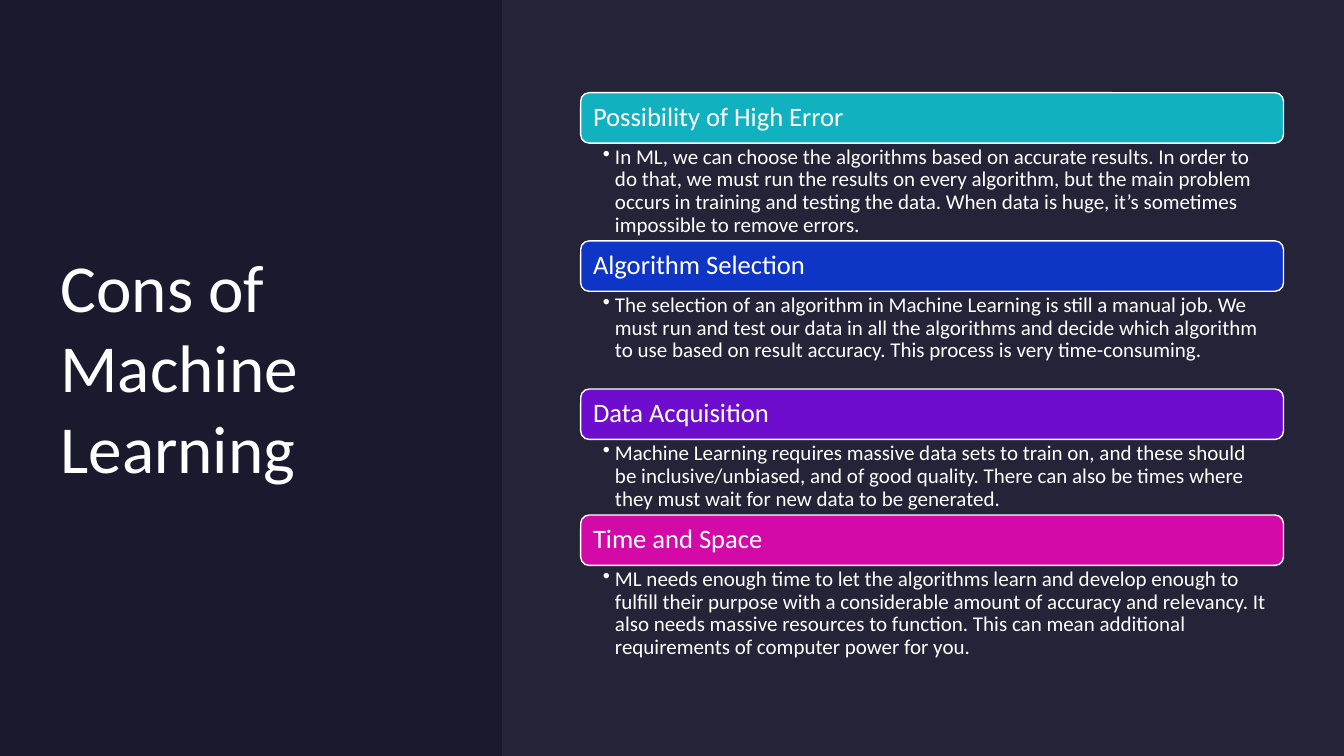
"""Build the slide on the cons of machine learning."""
import pptx
import pptx.dml.color
import pptx.enum.shapes
import pptx.enum.text
import pptx.oxml.ns
import pptx.util
from lxml import etree

Inches = pptx.util.Inches
Pt = pptx.util.Pt
RGBColor = pptx.dml.color.RGBColor
SHAPE = pptx.enum.shapes.MSO_SHAPE
ANCHOR = pptx.enum.text.MSO_ANCHOR
ALIGN = pptx.enum.text.PP_ALIGN
qn = pptx.oxml.ns.qn

NIGHT = RGBColor(0x1B, 0x19, 0x2E)
MIST = RGBColor(0xE4, 0xE3, 0xF0)
WHITE = RGBColor(0xFF, 0xFF, 0xFF)
TEAL = RGBColor(0x12, 0xB1, 0xBF)
BLUE = RGBColor(0x0F, 0x35, 0xC6)
PURPLE = RGBColor(0x6E, 0x0D, 0xCD)
PINK = RGBColor(0xD4, 0x0A, 0xA8)

LEFT, TOP, WIDTH = 5.76, 0.92, 6.97
HEAD = 0.5

CONS = [
    ("Possibility of High Error", TEAL, 0.97,
     "In ML, we can choose the algorithms based on accurate results. In order to "
     "do that, we must run the results on every algorithm, but the main problem "
     "occurs in training and testing the data. When data is huge, it’s sometimes "
     "impossible to remove errors."),
    ("Algorithm Selection", BLUE, 0.97,
     "The selection of an algorithm in Machine Learning is still a manual job. We "
     "must run and test our data in all the algorithms and decide which algorithm "
     "to use based on result accuracy. This process is very time-consuming."),
    ("Data Acquisition", PURPLE, 0.75,
     "Machine Learning requires massive data sets to train on, and these should "
     "be inclusive/unbiased, and of good quality. There can also be times where "
     "they must wait for new data to be generated."),
    ("Time and Space", PINK, 0.97,
     "ML needs enough time to let the algorithms learn and develop enough to "
     "fulfill their purpose with a considerable amount of accuracy and relevancy. It "
     "also needs massive resources to function. This can mean additional "
     "requirements of computer power for you."),
]


class Deck:
    font = "Calibri"
    ink = WHITE

    def __init__(self, slide):
        self.slide = slide

    def label(self, shape, text, size, inset, anchor, space=None):
        frame = shape.text_frame
        frame.word_wrap = True
        frame.vertical_anchor = anchor
        (frame.margin_left, frame.margin_top,
         frame.margin_right, frame.margin_bottom) = map(Inches, inset)
        para = frame.paragraphs[0]
        para.alignment = ALIGN.LEFT
        para.line_spacing = space
        run = para.add_run()
        run.text = text
        run.font.size = Pt(size)
        run.font.name = self.font
        run.font.color.rgb = self.ink
        return para

    def title(self, text, left, top, width, height):
        shape = self.slide.shapes.title
        shape.left, shape.top = Inches(left), Inches(top)
        shape.width, shape.height = Inches(width), Inches(height)
        self.label(shape, text, 48, (0, 0, 0, 0), ANCHOR.MIDDLE)

    def block(self, kind, fill, left, top, width, height):
        shape = self.slide.shapes.add_shape(
            kind, Inches(left), Inches(top), Inches(width), Inches(height))
        shape.shadow.inherit = False
        shape.fill.solid()
        shape.fill.fore_color.rgb = fill
        shape.line.fill.background()
        return shape

    def panel(self, fill, alpha, *place):
        shape = self.block(SHAPE.RECTANGLE, fill, *place)
        color = shape.element.find(".//" + qn("a:srgbClr"))
        etree.SubElement(color, qn("a:alpha"), val=str(alpha * 1000))

    def header(self, text, fill, *place):
        shape = self.block(SHAPE.ROUNDED_RECTANGLE, fill, *place)
        shape.line.color.rgb = self.ink
        shape.line.width = Pt(1)
        self.label(shape, text, 19, (0.1, 0.08, 0.1, 0.08), ANCHOR.MIDDLE, 0.9)

    def bullet(self, text, left, top, width, height):
        box = self.slide.shapes.add_textbox(
            Inches(left), Inches(top), Inches(width), Inches(height))
        para = self.label(box, text, 15, (0.22, 0.03, 0.15, 0.03), ANCHOR.TOP, 0.9)
        props = para._p.get_or_add_pPr()
        props.set("marL", str(Inches(0.12)))
        props.set("indent", str(Inches(-0.12)))
        etree.SubElement(props, qn("a:buChar"), char="•")


def main():
    show = pptx.Presentation()
    show.slide_width, show.slide_height = Inches(13.33), Inches(7.5)
    slide = show.slides.add_slide(show.slide_layouts[5])
    slide.background.fill.solid()
    slide.background.fill.fore_color.rgb = NIGHT

    deck = Deck(slide)
    deck.title("Cons of Machine Learning", 0.6, 0.6, 3.9, 6.06)
    deck.panel(MIST, 5, 4.98, 0, 8.35, 7.5)

    top = TOP
    for name, fill, height, text in CONS:
        deck.header(name, fill, LEFT, top, WIDTH, HEAD)
        deck.bullet(text, LEFT, top + HEAD, WIDTH, height)
        top += HEAD + height

    show.save("out.pptx")


if __name__ == "__main__":
    main()
